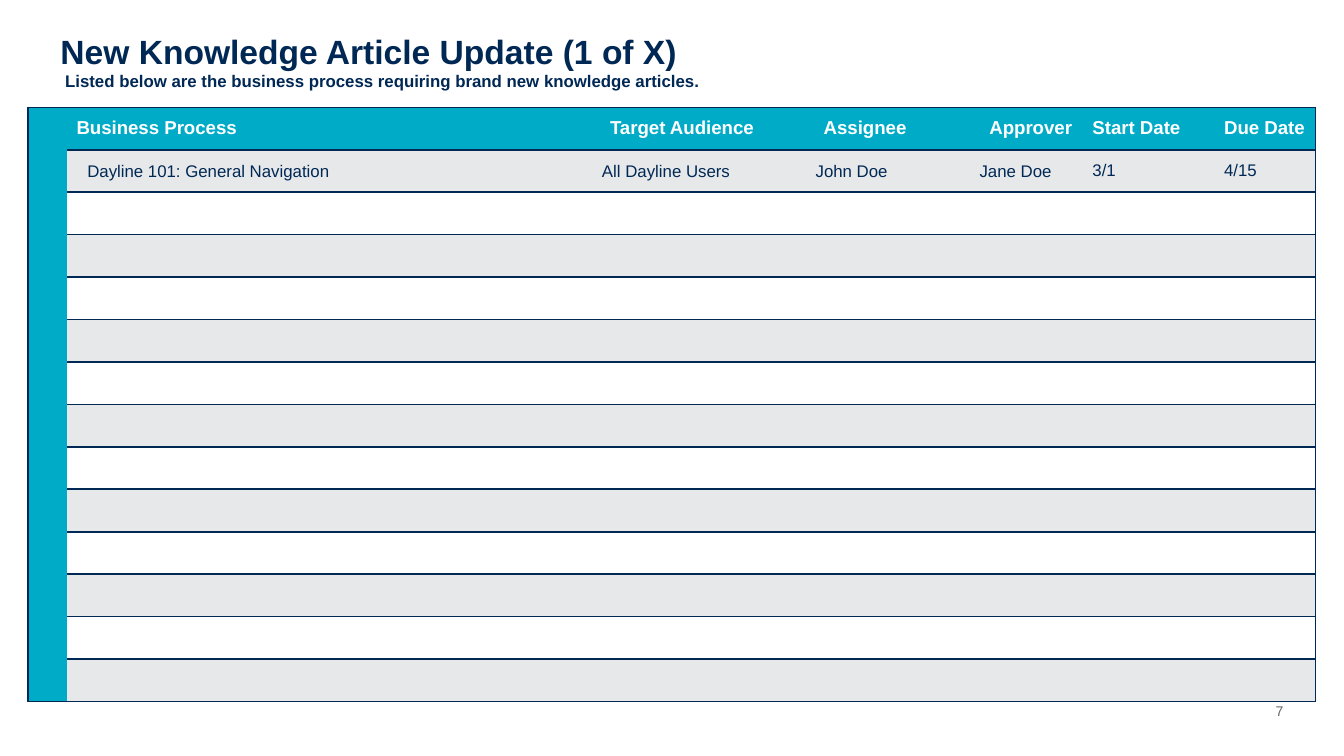
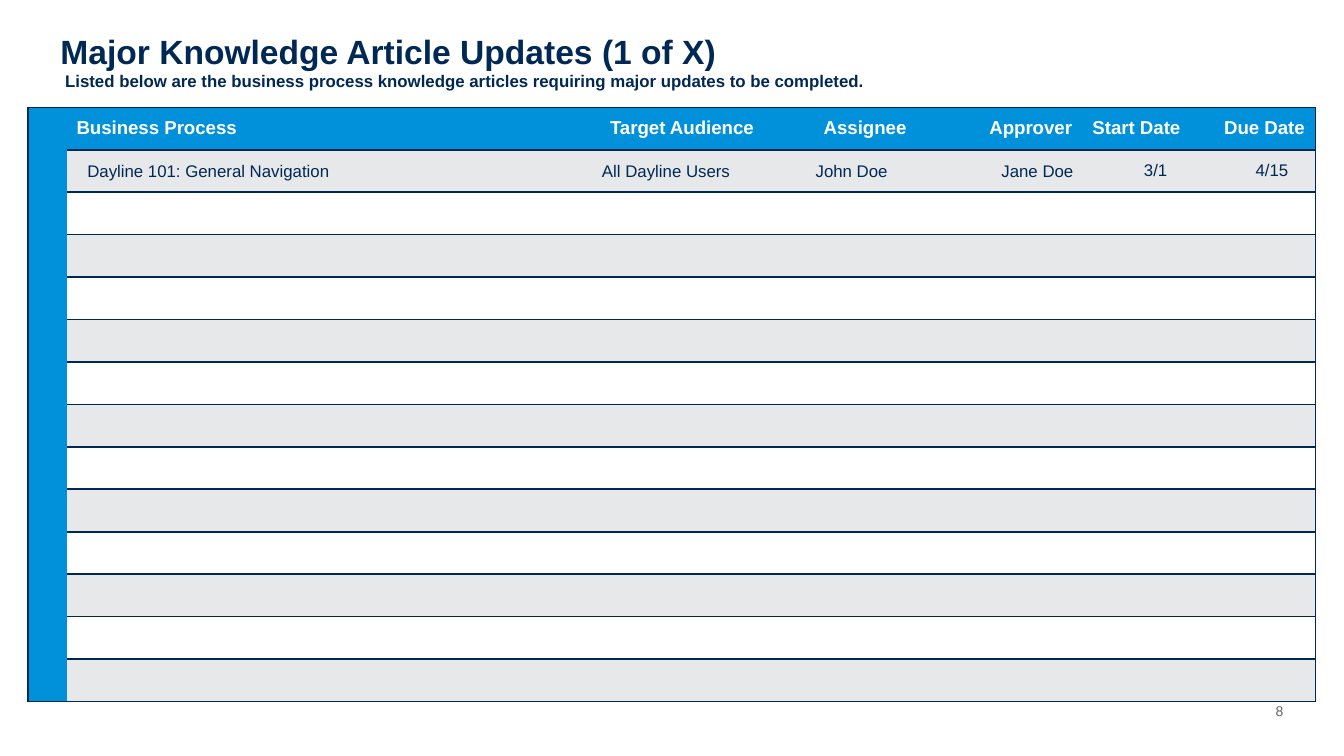
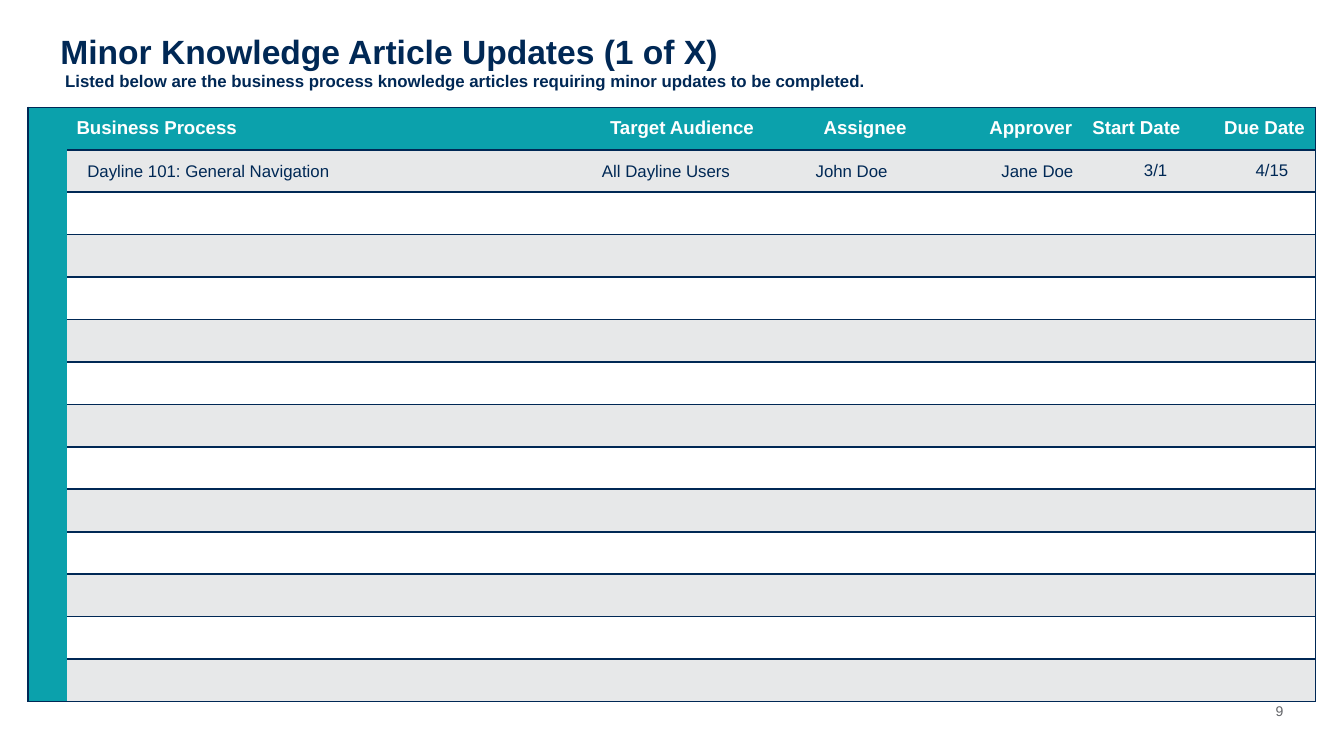
from dataclasses import dataclass

from lxml import etree
from pptx import Presentation, util as u
from pptx.dml.color import RGBColor
from pptx.enum import text
from pptx.oxml.ns import qn

LEFT, CENTER, RIGHT = text.PP_ALIGN.LEFT, text.PP_ALIGN.CENTER, text.PP_ALIGN.RIGHT
NO_GRID = "{2D5ABB26-0587-4C30-8999-92F81FD0307C}"


@dataclass(frozen=True)
class Theme:
    font: str = "Arial"
    navy: str = "002855"
    white: str = "FFFFFF"
    band: str = "E7E8E9"
    gray: str = "636569"
    title: float = 18
    header: float = 10
    body: float = 9
    footer: float = 7.5
    border: float = 1


# Table lengths are percentages of the slide's width and height.
COLUMNS = [2.9, 39.7, 15.9, 12.2, 7.8, 9.8, 7.5]
ROWS = 14
TABLE_TOP, TABLE_HEIGHT = 14.2, 78.6
HEADERS = ["Business Process", "Target Audience", "Assignee", "Approver", "Start Date", "Due Date"]
EXAMPLE = ["Dayline 101: General Navigation", "All Dayline Users", "John Doe", "Jane Doe", "3/1", "4/15"]

# Cell margins in inches: left, top, right, bottom.
ROOMY = (0.07, 0.05, 0.07, 0.05)
TIGHT = (0.01, 0.01, 0.01, 0)
INDENTED = (0.15, 0.01, 0.01, 0)
EXAMPLE_MARGINS = [INDENTED, TIGHT, TIGHT, TIGHT, ROOMY, ROOMY]

PAGES = [
    ("7", "New Knowledge Article Update (1 of X)",
     "Listed below are the business process requiring brand new knowledge articles.",
     "00ABC8", False),
    ("8", "Major Knowledge Article Updates (1 of X)",
     "Listed below are the business process knowledge articles requiring major updates to be completed.",
     "0091DA", True),
    ("9", "Minor Knowledge Article Updates (1 of X)",
     "Listed below are the business process knowledge articles requiring minor updates to be completed.",
     "0BA1AC", True),
]


def add_run(p, content, *, font, size, color, bold=False):
    r = p.add_run()
    r.text = content
    r.font.name, r.font.size, r.font.bold = font, u.Pt(size), bold
    r.font.color.rgb = RGBColor.from_string(color)


def set_margins(box, margins):
    box.margin_left, box.margin_top, box.margin_right, box.margin_bottom = map(u.Inches, margins)


def set_borders(cell, sides, color, width):
    """Draw the named sides (from L, R, T, B); they precede the fill in the XML."""
    props = cell._tc.get_or_add_tcPr()
    for i, side in enumerate(s for s in "LRTB" if s in sides):
        ln = etree.Element(qn(f"a:ln{side}"), w=str(u.Pt(width)))
        fill = etree.SubElement(ln, qn("a:solidFill"))
        etree.SubElement(fill, qn("a:srgbClr"), val=color)
        props.insert(i, ln)


class Deck:
    def __init__(self, theme):
        self.theme = theme
        self.prs = Presentation()
        self.prs.slide_width, self.prs.slide_height = u.Inches(10), u.Inches(5.625)
        self.slide = None

    def x(self, share):
        return round(self.prs.slide_width * share / 100)

    def y(self, share):
        return round(self.prs.slide_height * share / 100)

    def box(self, left, top, width, height):
        return self.x(left), self.y(top), self.x(width), self.y(height)

    def run(self, p, content, size, color, bold=False):
        add_run(p, content, font=self.theme.font, size=size, color=color, bold=bold)

    def new_slide(self):
        self.slide = self.prs.slides.add_slide(self.prs.slide_layouts[5])

    def title(self, heading, subtitle):
        t, sp = self.theme, self.slide.shapes.title
        sp.left, sp.top, sp.width, sp.height = self.box(4.5, 4.05, 91, 9.42)
        tf = sp.text_frame
        set_margins(tf, (0, 0, 0, 0))
        tf.word_wrap, tf.auto_size = True, text.MSO_AUTO_SIZE.NONE
        tf.vertical_anchor = text.MSO_ANCHOR.TOP
        p = tf.paragraphs[0]
        p.alignment = LEFT
        self.run(p, heading, t.title, t.navy, bold=True)
        p.add_line_break()
        self.run(p, " " + subtitle, t.body, t.navy, bold=True)

    def page_number(self, number):
        tf = self.slide.shapes.add_textbox(*self.box(92.5, 92.5, 3, 2.67)).text_frame
        set_margins(tf, (0, 0, 0, 0))
        tf.word_wrap, tf.vertical_anchor = False, text.MSO_ANCHOR.BOTTOM
        p = tf.paragraphs[0]
        p.alignment = RIGHT
        self.run(p, number, self.theme.footer, self.theme.gray)

    def cell(self, cell, fill, sides, content="", margins=TIGHT, size=None,
             color=None, bold=False, align=LEFT, indent=0):
        t = self.theme
        cell.fill.solid()
        cell.fill.fore_color.rgb = RGBColor.from_string(fill)
        set_borders(cell, sides, t.navy, t.border)
        set_margins(cell, margins)
        cell.vertical_anchor = text.MSO_ANCHOR.MIDDLE
        p = cell.text_frame.paragraphs[0]
        p.alignment = align
        if indent:
            p._p.get_or_add_pPr().set("marL", str(u.Inches(indent)))
        if content:
            self.run(p, content, size or t.body, color or t.navy, bold)
        else:
            etree.SubElement(p._p, qn("a:endParaRPr"), sz=str(round(t.body * 100)))

    def schedule(self, accent, centered):
        """Table with an accent side bar, a header, one example and blank rows."""
        t = self.theme
        frame = self.slide.shapes.add_table(
            ROWS, len(COLUMNS), *self.box(2.1, TABLE_TOP, sum(COLUMNS), TABLE_HEIGHT))
        table = frame.table
        table.first_row = table.horz_banding = False
        table._tbl.tblPr.find(qn("a:tableStyleId")).text = NO_GRID
        for column, width in zip(table.columns, COLUMNS):
            column.width = self.x(width)
        for row in table.rows:
            row.height = self.y(TABLE_HEIGHT / ROWS)

        table.cell(0, 0).merge(table.cell(ROWS - 1, 0))
        self.cell(table.cell(0, 0), accent, "LTB")
        last = len(HEADERS) - 1
        for row in range(ROWS):
            for col in range(len(HEADERS)):
                fill = t.band if row % 2 else t.white
                style = {}
                if row == 0:
                    fill = accent
                    style = dict(content=HEADERS[col], margins=ROOMY, size=t.header, color=t.white,
                                 bold=True, align=CENTER if HEADERS[col] == "Approver" else LEFT)
                elif row == 1:
                    style = dict(content=EXAMPLE[col], margins=EXAMPLE_MARGINS[col])
                    if centered and col >= HEADERS.index("Approver"):
                        style.update(align=CENTER, indent=0.1)
                sides = "RTB" if col == last else "TB"
                self.cell(table.cell(row, col + 1), fill, sides, **style)


def main():
    deck = Deck(Theme())
    for number, heading, subtitle, accent, centered in PAGES:
        deck.new_slide()
        deck.title(heading, subtitle)
        deck.schedule(accent, centered)
        deck.page_number(number)
    deck.prs.save("out.pptx")


if __name__ == "__main__":
    main()
